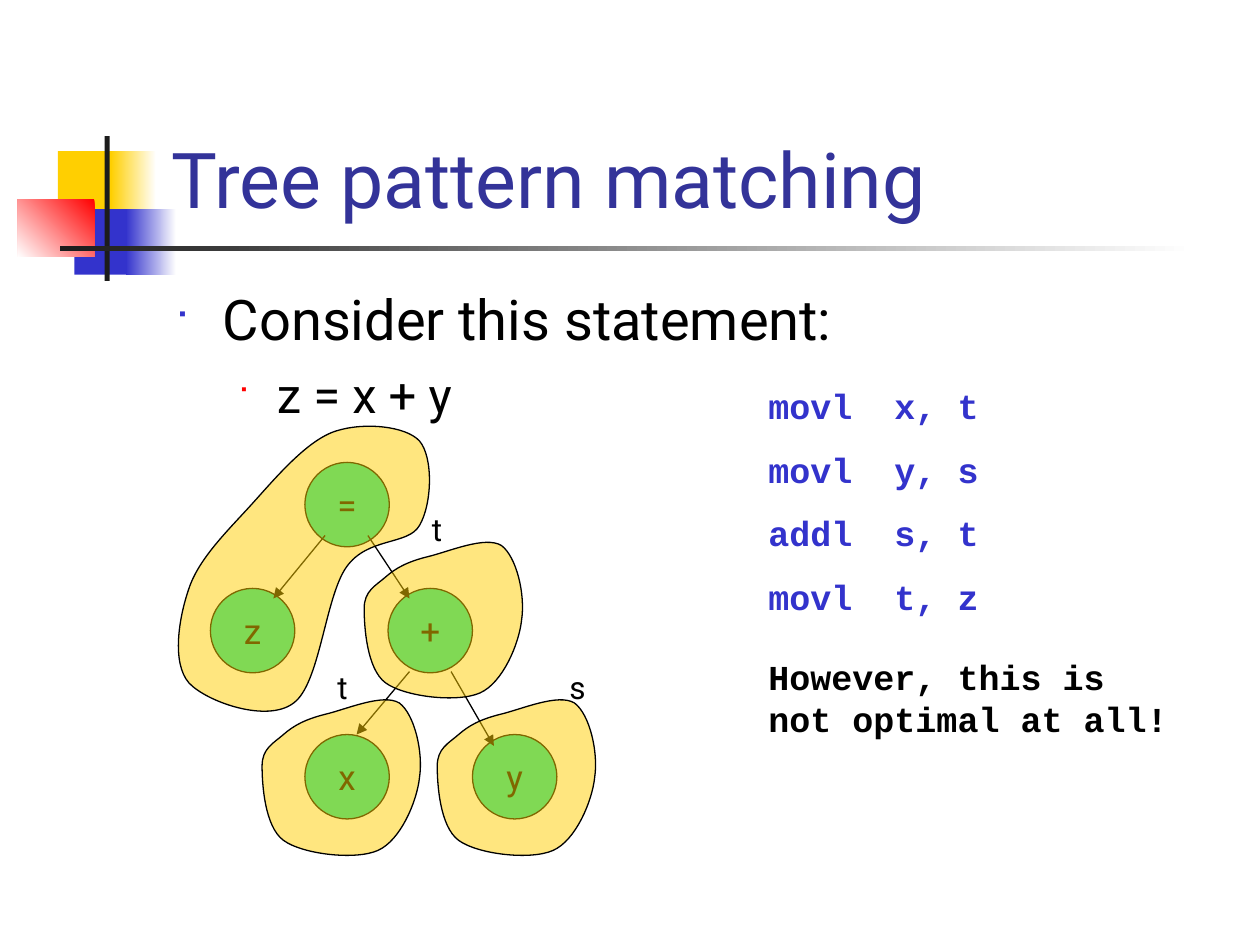
from dataclasses import dataclass

from lxml import etree
from pptx import Presentation
from pptx.dml.color import RGBColor
from pptx.enum.shapes import MSO_CONNECTOR, MSO_SHAPE
from pptx.enum.text import MSO_ANCHOR, PP_ALIGN
from pptx.oxml.ns import qn
from pptx.util import Inches, Pt

RECTANGLE, OVAL = MSO_SHAPE.RECTANGLE, MSO_SHAPE.OVAL
STRAIGHT = MSO_CONNECTOR.STRAIGHT
MIDDLE, BOTTOM = MSO_ANCHOR.MIDDLE, MSO_ANCHOR.BOTTOM
CENTER = PP_ALIGN.CENTER


@dataclass(frozen=True)
class Theme:
    sans: str = "Roboto"
    mono: str = "Courier New"
    symbols: str = "Wingdings"
    black: RGBColor = RGBColor.from_string("000000")
    white: RGBColor = RGBColor.from_string("FFFFFF")
    dark: RGBColor = RGBColor.from_string("1C1C1C")
    title: RGBColor = RGBColor.from_string("333399")
    blue: RGBColor = RGBColor.from_string("3333CC")
    red: RGBColor = RGBColor.from_string("FF0000")
    yellow: RGBColor = RGBColor.from_string("FFCF01")
    green: RGBColor = RGBColor.from_string("00E4A8")
    title_size: int = 44
    body_size: int = 32
    sub_size: int = 28
    node_size: int = 20
    code_size: int = 20
    label_size: int = 18
    outline: float = 0.75


theme = Theme()


def style_paragraph(paragraph, size, color, font=theme.sans, bold=False):
    for run in paragraph.runs:
        run.font.name = font
        run.font.size = Pt(size)
        run.font.color.rgb = color
        run.font.bold = bold


def add_text(left, top, width, height, lines, size, color, font=theme.sans, bold=False):
    box = slide.shapes.add_textbox(Inches(left), Inches(top), Inches(width), Inches(height))
    text_frame = box.text_frame
    text_frame.word_wrap = True
    text_frame.text = "\n".join(lines)
    for paragraph in text_frame.paragraphs:
        style_paragraph(paragraph, size, color, font, bold)
    return text_frame


presentation = Presentation()
presentation.slide_width = Inches(10)
presentation.slide_height = Inches(7.5)
slide = presentation.slides.add_slide(presentation.slide_layouts[6])

# Corner decoration: position, colours from start to end, gradient angle
decoration = [
    (0.46, 1.2, 0.48, 0.52, [theme.yellow], 0),
    (0.88, 1.2, 0.36, 0.52, [theme.white, theme.yellow], 180),
    (0.59, 1.66, 0.46, 0.52, [theme.blue], 0),
    (1, 1.66, 0.4, 0.52, [theme.white, theme.blue], 180),
    (0.14, 1.58, 0.61, 0.46, [theme.red, theme.white], 225),
    (0.83, 1.08, 0.04, 1.15, [theme.dark], 0),
    (0.48, 1.95, 9, 0.04, [theme.white, theme.dark], 180),
]
for left, top, width, height, colors, angle in decoration:
    block = slide.shapes.add_shape(
        RECTANGLE, Inches(left), Inches(top), Inches(width), Inches(height))
    block.shadow.inherit = False
    block.line.fill.background()
    if len(colors) == 1:
        block.fill.solid()
        block.fill.fore_color.rgb = colors[0]
    else:
        block.fill.gradient()
        block.fill.gradient_angle = angle
        for stop, color in zip(block.fill.gradient_stops, colors):
            stop.color.rgb = color

# Title
title = add_text(1.26, 0.23, 8.52, 1.6, ["Tree pattern matching"],
                 theme.title_size, theme.title)
title.vertical_anchor = BOTTOM

# Bulleted statement
body = add_text(1.29, 2.21, 8.5, 4.5, ["Consider this statement:", "z = x + y"],
                theme.body_size, theme.black)
bullets = [(0.38, 0.38, theme.blue, 60), (0.81, 0.31, theme.red, 55)]
for level, (paragraph, bullet) in enumerate(zip(body.paragraphs, bullets)):
    margin, hanging, color, percent = bullet
    paragraph.level = level
    properties = paragraph._p.get_or_add_pPr()
    properties.set("marL", str(Inches(margin)))
    properties.set("indent", str(-Inches(hanging)))
    bullet_color = etree.SubElement(properties, qn("a:buClr"))
    etree.SubElement(bullet_color, qn("a:srgbClr"), val=str(color))
    etree.SubElement(properties, qn("a:buSzPct"), val=str(percent * 1000))
    etree.SubElement(properties, qn("a:buFont"), typeface=theme.symbols, charset="2")
    etree.SubElement(properties, qn("a:buChar"), char="■")
statement = body.paragraphs[1]
statement.space_before = Pt(7)
style_paragraph(statement, theme.sub_size, theme.black)

# Tree nodes
node_diameter = 0.67
nodes = [("=", 2.42, 3.67), ("z", 1.67, 4.67), ("+", 3.08, 4.67),
         ("x", 2.42, 5.83), ("y", 3.75, 5.83)]
for symbol, left, top in nodes:
    node = slide.shapes.add_shape(
        OVAL, Inches(left), Inches(top), Inches(node_diameter), Inches(node_diameter))
    node.shadow.inherit = False
    node.fill.solid()
    node.fill.fore_color.rgb = theme.green
    node.line.color.rgb = theme.black
    node.line.width = Pt(theme.outline)
    node.text_frame.word_wrap = False
    node.text_frame.vertical_anchor = MIDDLE
    node.text_frame.text = symbol
    paragraph = node.text_frame.paragraphs[0]
    paragraph.alignment = CENTER
    style_paragraph(paragraph, theme.node_size, theme.black)

# Tree edges
edges = [(2.58, 4.25, 2.17, 4.75), (3.25, 5.33, 2.83, 5.83),
         (2.92, 4.25, 3.25, 4.75), (3.58, 5.33, 3.92, 5.92)]
for ends in edges:
    edge = slide.shapes.add_connector(STRAIGHT, *[Inches(value) for value in ends])
    edge.line.color.rgb = theme.black
    edge.line.width = Pt(theme.outline)
    etree.SubElement(edge.line._get_or_add_ln(), qn("a:tailEnd"), type="triangle")
    etree.SubElement(edge._element.spPr, qn("a:effectLst"))

# Matched patterns: closed Bezier outlines, each with its offsets on the slide
leaf_outline = [
    (2.25, 5.83), (2.17, 5.9), (2.08, 5.94), (2.08, 6.08), (2.08, 6.22), (2.1, 6.56),
    (2.25, 6.67), (2.4, 6.78), (2.82, 6.83), (3, 6.75), (3.18, 6.67), (3.31, 6.36),
    (3.33, 6.17), (3.36, 5.97), (3.29, 5.67), (3.17, 5.58), (3.04, 5.5), (2.75, 5.63),
    (2.58, 5.67), (2.42, 5.71), (2.33, 5.76), (2.25, 5.83)]
assignment_outline = [
    (2, 4), (1.81, 4.21), (1.58, 4.43), (1.5, 4.67), (1.42, 4.9), (1.36, 5.26),
    (1.5, 5.42), (1.64, 5.57), (2.12, 5.74), (2.33, 5.58), (2.54, 5.43), (2.58, 4.74),
    (2.75, 4.5), (2.92, 4.26), (3.24, 4.33), (3.33, 4.17), (3.43, 4), (3.44, 3.63),
    (3.33, 3.5), (3.22, 3.38), (2.89, 3.35), (2.67, 3.42), (2.44, 3.49), (2.19, 3.79),
    (2, 4)]
patterns = [(leaf_outline, 0, 0), (leaf_outline, 1.39, 0),
            (leaf_outline, 0.81, -1.25), (assignment_outline, 0, 0)]
for outline, shift_x, shift_y in patterns:
    points = [(Inches(x + shift_x), Inches(y + shift_y)) for x, y in outline]
    builder = slide.shapes.build_freeform(*points[0])
    builder.add_line_segments(points[1:], close=True)
    pattern = builder.convert_to_shape()
    # Every three segments hold the control points of one curve
    segments = list(pattern._element.iter(qn("a:lnTo")))
    for first in range(0, len(outline) - 1, 3):
        curve = etree.Element(qn("a:cubicBezTo"))
        segments[first].addprevious(curve)
        for segment in segments[first:first + 3]:
            curve.append(segment[0])
            segment.getparent().remove(segment)
    pattern.shadow.inherit = False
    pattern.fill.solid()
    pattern.fill.fore_color.rgb = theme.yellow
    fill_color = pattern._element.spPr.find(qn("a:solidFill")).find(qn("a:srgbClr"))
    etree.SubElement(fill_color, qn("a:alpha"), val="50000")
    pattern.line.color.rgb = theme.black
    pattern.line.width = Pt(theme.outline)

# Generated code and remark
code = add_text(6, 3, 3.5, 1.96, ["movl  x, t", "movl  y, s", "addl  s, t", "movl  t, z"],
                theme.code_size, theme.blue, theme.mono, True)
for paragraph in code.paragraphs[1:]:
    paragraph.space_before = Pt(12.5)
add_text(6, 5.15, 3.5, 0.77, ["However, this is not optimal at all!"],
         theme.code_size, theme.black, theme.mono, True)

# Register labels
for register, left, top in [("t", 2.58, 5.25), ("s", 4.42, 5.25), ("t", 3.33, 4)]:
    add_text(left, top, 0.42, 0.4, [register], theme.label_size, theme.black)

presentation.save("out.pptx")
